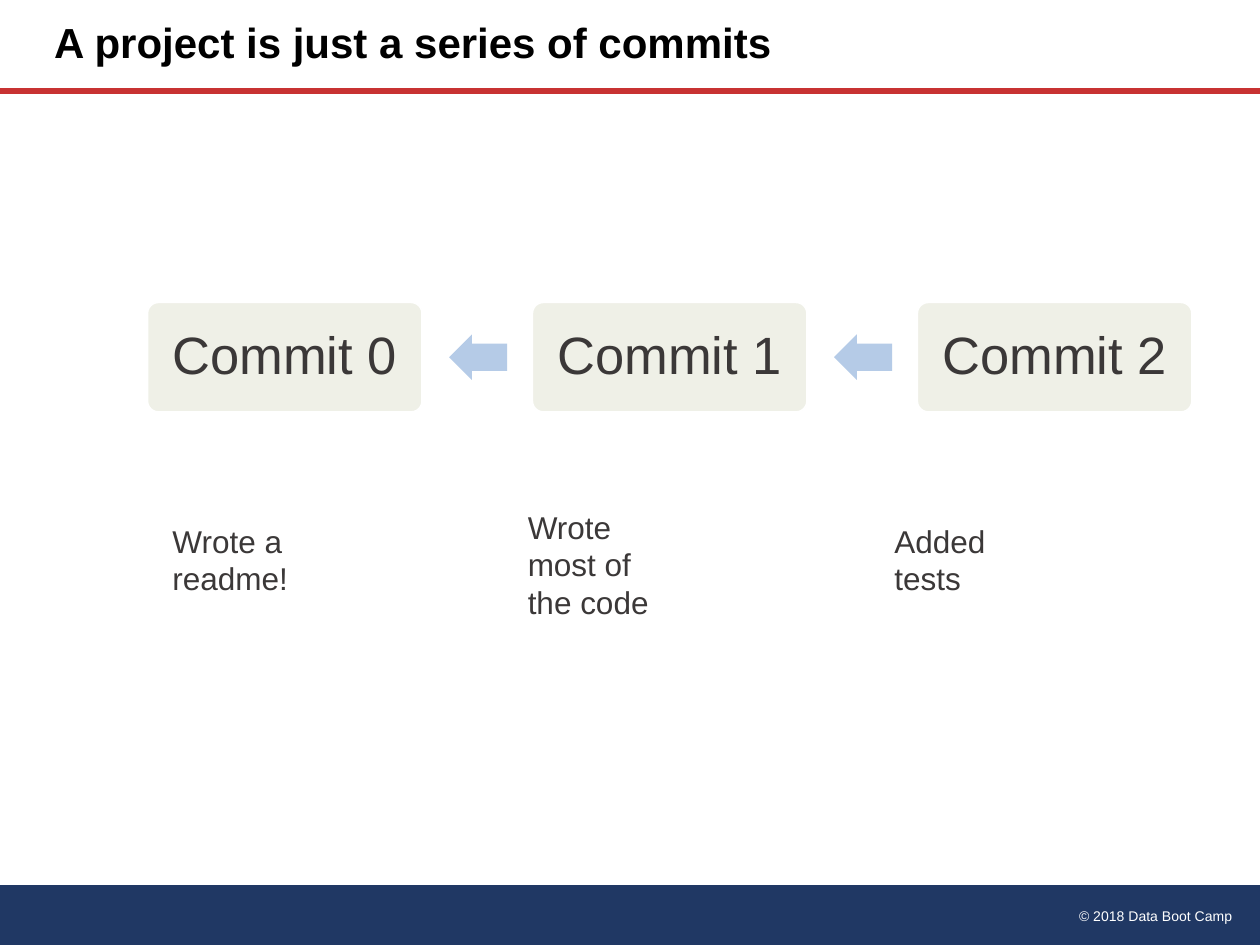
from lxml import etree
from pptx import Presentation
from pptx.dml.color import RGBColor
from pptx.enum import shapes, text
from pptx.oxml.ns import qn
from pptx.util import Inches, Pt

WHITE = RGBColor(0xFF, 0xFF, 0xFF)
BLACK = RGBColor(0, 0, 0)
NAVY = RGBColor(0x20, 0x38, 0x64)
RED = RGBColor(0xC8, 0x32, 0x32)
CREAM = RGBColor(0xEF, 0xF0, 0xE7)
LIGHT_BLUE = RGBColor(0xB5, 0xCB, 0xE7)
CHARCOAL = RGBColor(0x3B, 0x38, 0x38)

COMMITS = ["Commit 0", "Commit 1", "Commit 2"]
# Text, left and top of each caption, in inches
CAPTIONS = [
    ("Wrote a readme!", 1.27, 4.09),
    ("Wrote most of the code", 4.09, 3.98),
    ("Added tests", 7, 4.09),
]


def write(sp, content, size, color, bold=False, align=text.PP_ALIGN.LEFT,
          anchor=text.MSO_ANCHOR.TOP, spacing=None):
    tf = sp.text_frame
    tf.word_wrap = True
    tf.vertical_anchor = anchor
    p = tf.paragraphs[0]
    p.alignment = align
    p.line_spacing = spacing
    r = p.add_run()
    r.text = content
    r.font.name = "Arial"
    r.font.size = Pt(size)
    r.font.bold = bold
    r.font.color.rgb = color
    return tf


def add_box(slide, kind, left, top, width, height, fill, line=None):
    sp = slide.shapes.add_shape(kind, left, top, width, height)
    sp.shadow.inherit = False
    sp.fill.solid()
    sp.fill.fore_color.rgb = fill
    if line is None:
        sp.line.fill.background()
    else:
        sp.line.color.rgb = line
        sp.line.width = Pt(1)
    return sp


def add_label(slide, content, left, top, width, height, size, color, **fmt):
    sp = slide.shapes.add_textbox(left, top, width, height)
    tf = write(sp, content, size, color, **fmt)
    tf.auto_size = text.MSO_AUTO_SIZE.SHAPE_TO_FIT_TEXT


def add_header(slide, left, top, width, height):
    """Place the title and the rule along the bottom of the header."""
    title = slide.shapes.title
    title.left, title.top = left + Inches(0.33), top
    title.width, title.height = Inches(5.98), height
    tf = write(title, "A project is just a series of commits", 24, BLACK,
               bold=True, anchor=text.MSO_ANCHOR.MIDDLE, spacing=0.9)
    tf.auto_size = text.MSO_AUTO_SIZE.NONE
    bottom = top + height
    rule = slide.shapes.add_connector(
        shapes.MSO_CONNECTOR.STRAIGHT, left, bottom, left + width, bottom)
    rule.line.color.rgb = RED
    rule.line.width = Pt(3.25)
    etree.SubElement(rule._element.spPr, qn("a:effectLst"))


def add_footer(slide, left, top, width, height):
    add_box(slide, shapes.MSO_SHAPE.FLOWCHART_PROCESS,
            left, top, width, height, NAVY)
    add_label(slide, "© 2018 Data Boot Camp", left + Inches(6.83),
              top + Inches(0.13), Inches(3.05), Inches(0.24), 8, WHITE,
              align=text.PP_ALIGN.RIGHT)


def add_commit_chain(slide, left, top, width, height):
    """Spread the commits over the width, each pointing back to the last."""
    box_w = Inches(2.18)
    arrow_w, arrow_h = Inches(0.46), Inches(0.36)
    pitch = (width - box_w) // (len(COMMITS) - 1)
    for i, name in enumerate(COMMITS):
        x = left + i * pitch
        box = add_box(slide, shapes.MSO_SHAPE.ROUNDED_RECTANGLE,
                      x, top, box_w, height, CREAM, WHITE)
        box.adjustments[0] = 0.1
        write(box, name, 30, CHARCOAL, align=text.PP_ALIGN.CENTER,
              anchor=text.MSO_ANCHOR.MIDDLE, spacing=0.9)
        if i:
            arrow = add_box(slide, shapes.MSO_SHAPE.LEFT_ARROW,
                            x - Inches(0.2) - arrow_w,
                            top + (height - arrow_h) // 2,
                            arrow_w, arrow_h, LIGHT_BLUE)
            arrow.adjustments[0] = 0.6
            arrow.adjustments[1] = 0.5


def add_captions(slide):
    for content, left, top in CAPTIONS:
        add_label(slide, content, Inches(left), Inches(top), Inches(1.35),
                  Inches(0.7), 18, CHARCOAL)


def main():
    prs = Presentation()
    prs.slide_width, prs.slide_height = Inches(10), Inches(7.5)
    slide = prs.slides.add_slide(prs.slide_layouts[5])
    add_footer(slide, 0, Inches(7.02), prs.slide_width, Inches(0.48))
    add_header(slide, 0, 0, prs.slide_width, Inches(0.72))
    add_commit_chain(slide, Inches(1.17), Inches(2.4), Inches(8.29),
                     Inches(0.87))
    add_captions(slide)
    prs.save("out.pptx")


if __name__ == "__main__":
    main()
